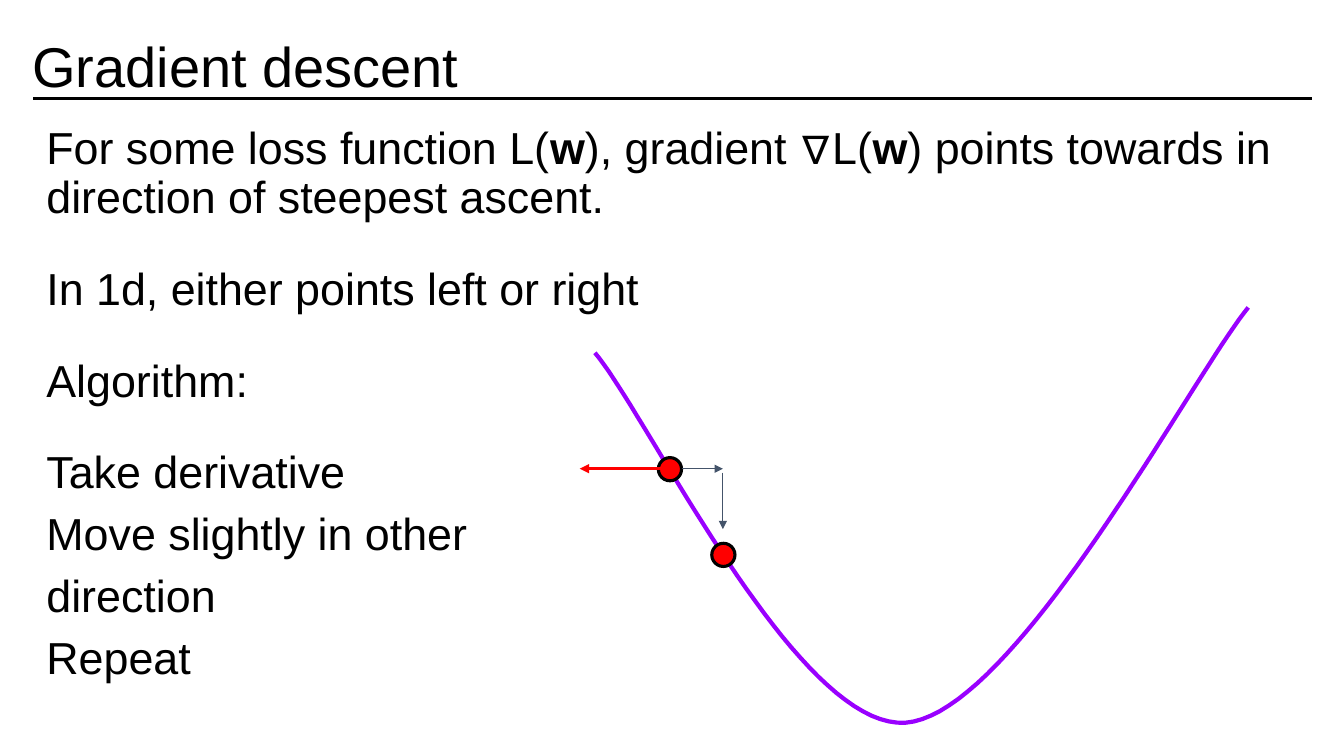
"""Build the gradient descent slide with its one-dimensional loss curve."""
from dataclasses import dataclass

from lxml.etree import SubElement
from pptx import Presentation
from pptx.dml.color import RGBColor
from pptx.enum.shapes import MSO_CONNECTOR, MSO_SHAPE
from pptx.enum.text import MSO_ANCHOR, MSO_AUTO_SIZE, PP_ALIGN
from pptx.oxml.ns import qn
from pptx.util import Inches, Pt

COLOURS = {"ink": "000000", "paper": "FFFFFF", "curve": "9900FF",
           "point": "FF0000", "step": "44546A"}
FONT = "Arial"
SCALE = 1000
DOT_SIZE = 0.23
SEGMENT_STEPS = 40

Point = tuple[float, float]


@dataclass(frozen=True)
class Span:
    """A run of text."""
    text: str
    bold: bool = False


@dataclass(frozen=True)
class Paragraph:
    """A paragraph of runs with its spacing."""
    spans: tuple[Span, ...]
    line_spacing: float = 1.15
    space_before: float = 21.3


@dataclass(frozen=True)
class Line:
    """A straight line, with an arrowhead at its end if wanted."""
    start: Point
    end: Point
    colour: str
    width: float
    arrow: bool = True


TITLE = (Paragraph((Span("Gradient descent"),), 0.9, 0),)
BODY = (
    Paragraph((Span("For some loss function L("), Span("w", True),
               Span("), gradient ∇L("), Span("w", True),
               Span(") points towards in direction of steepest ascent.")), 0.9, 0),
    Paragraph((Span("In 1d, either points left or right"),)),
    Paragraph((Span("Algorithm:"),)),
    Paragraph((Span("Take derivative\nMove slightly in other\ndirection\nRepeat"),)),
)
TITLE_RULE = Line((0.33, 0.98), (13.01, 0.98), "ink", 2.25, False)
ARROWS = (
    Line((6.65, 4.65), (5.75, 4.65), "point", 2.25),
    Line((6.76, 4.65), (7.17, 4.65), "step", 0.75),
    Line((7.17, 4.69), (7.17, 5.25), "step", 0.75),
)
START_DOT, NEXT_DOT = (6.53, 4.54), (7.06, 5.39)
CURVE = (
    ((12.38, 3.05), (11.82, 3.74), (10.06, 7.09), (8.98, 7.17)),
    ((8.98, 7.17), (7.9, 7.24), (6.42, 4.11), (5.9, 3.5)),
)


def rgb(name: str) -> RGBColor:
    """Look up a named colour."""
    return RGBColor.from_string(COLOURS[name])


def fill_text(box, paragraphs: tuple[Paragraph, ...], size: int, anchor: MSO_ANCHOR) -> None:
    """Write the paragraphs into a placeholder, run by run."""
    frame = box.text_frame
    frame.word_wrap = True
    frame.auto_size = MSO_AUTO_SIZE.NONE
    frame.vertical_anchor = anchor
    frame.margin_left = frame.margin_right = Inches(0.13)
    frame.margin_top = frame.margin_bottom = Inches(0.13)
    for index, paragraph in enumerate(paragraphs):
        para = frame.add_paragraph() if index else frame.paragraphs[0]
        properties = para._p.get_or_add_pPr()
        properties.set("marL", "0")
        properties.set("indent", "0")
        SubElement(properties, qn("a:buNone"))
        para.alignment = PP_ALIGN.LEFT
        para.line_spacing = paragraph.line_spacing
        para.space_before = Pt(paragraph.space_before)
        para.font.size = Pt(size)
        for span in paragraph.spans:
            for row, text in enumerate(span.text.split("\n")):
                if row:
                    para.add_line_break()
                run = para.add_run()
                run.text = text
                run.font.name = FONT
                run.font.size = Pt(size)
                run.font.bold = span.bold
                run.font.color.rgb = rgb("ink")


def place(box, left: float, top: float, width: float, height: float) -> None:
    """Move and size a placeholder."""
    box.left, box.top = Inches(left), Inches(top)
    box.width, box.height = Inches(width), Inches(height)


def draw_line(page, line: Line) -> None:
    """Draw a straight connector."""
    connector = page.shapes.add_connector(
        MSO_CONNECTOR.STRAIGHT, *map(Inches, line.start + line.end))
    connector.line.color.rgb = rgb(line.colour)
    connector.line.width = Pt(line.width)
    if line.arrow:
        SubElement(connector.line._get_or_add_ln(), qn("a:tailEnd"), type="triangle")
    SubElement(connector._element.spPr, qn("a:effectLst"))


def draw_dot(page, corner: Point) -> None:
    """Draw a position on the curve."""
    dot = page.shapes.add_shape(
        MSO_SHAPE.OVAL, *map(Inches, corner + (DOT_SIZE, DOT_SIZE)))
    dot.shadow.inherit = False
    dot.fill.solid()
    dot.fill.fore_color.rgb = rgb("point")
    dot.line.color.rgb = rgb("ink")
    dot.line.width = Pt(2.25)


def bezier(controls: tuple[Point, ...], t: float) -> Point:
    """Evaluate a cubic Bezier segment."""
    weights = ((1 - t) ** 3, 3 * t * (1 - t) ** 2, 3 * t ** 2 * (1 - t), t ** 3)
    x, y = (sum(weight * control[axis] for weight, control in zip(weights, controls))
            for axis in (0, 1))
    return x * SCALE, y * SCALE


def draw_curve(page) -> None:
    """Draw the loss curve as a smooth open outline."""
    points = [bezier(segment, step / SEGMENT_STEPS)
              for segment in CURVE for step in range(1, SEGMENT_STEPS + 1)]
    builder = page.shapes.build_freeform(*bezier(CURVE[0], 0), scale=Inches(1) / SCALE)
    builder.add_line_segments(points, close=False)
    curve = builder.convert_to_shape()
    curve.shadow.inherit = False
    curve.fill.background()
    curve.line.color.rgb = rgb("curve")
    curve.line.width = Pt(3)


def main() -> None:
    """Create the deck and save it."""
    deck = Presentation()
    deck.slide_width, deck.slide_height = Inches(13.33), Inches(7.5)
    page = deck.slides.add_slide(deck.slide_layouts[1])
    title, body = page.shapes.title, page.placeholders[1]
    place(title, 0.19, 0.28, 12.96, 0.84)
    fill_text(title, TITLE, 40, MSO_ANCHOR.BOTTOM)
    place(body, 0.33, 1.12, 12.68, 6.21)
    body.fill.solid()
    body.fill.fore_color.rgb = rgb("paper")
    SubElement(body._element.spPr.find(".//" + qn("a:srgbClr")), qn("a:alpha"), val="60000")
    fill_text(body, BODY, 32, MSO_ANCHOR.TOP)
    draw_line(page, TITLE_RULE)
    draw_curve(page)
    draw_dot(page, START_DOT)
    for arrow in ARROWS:
        draw_line(page, arrow)
    draw_dot(page, NEXT_DOT)
    deck.save("out.pptx")


if __name__ == "__main__":
    main()
